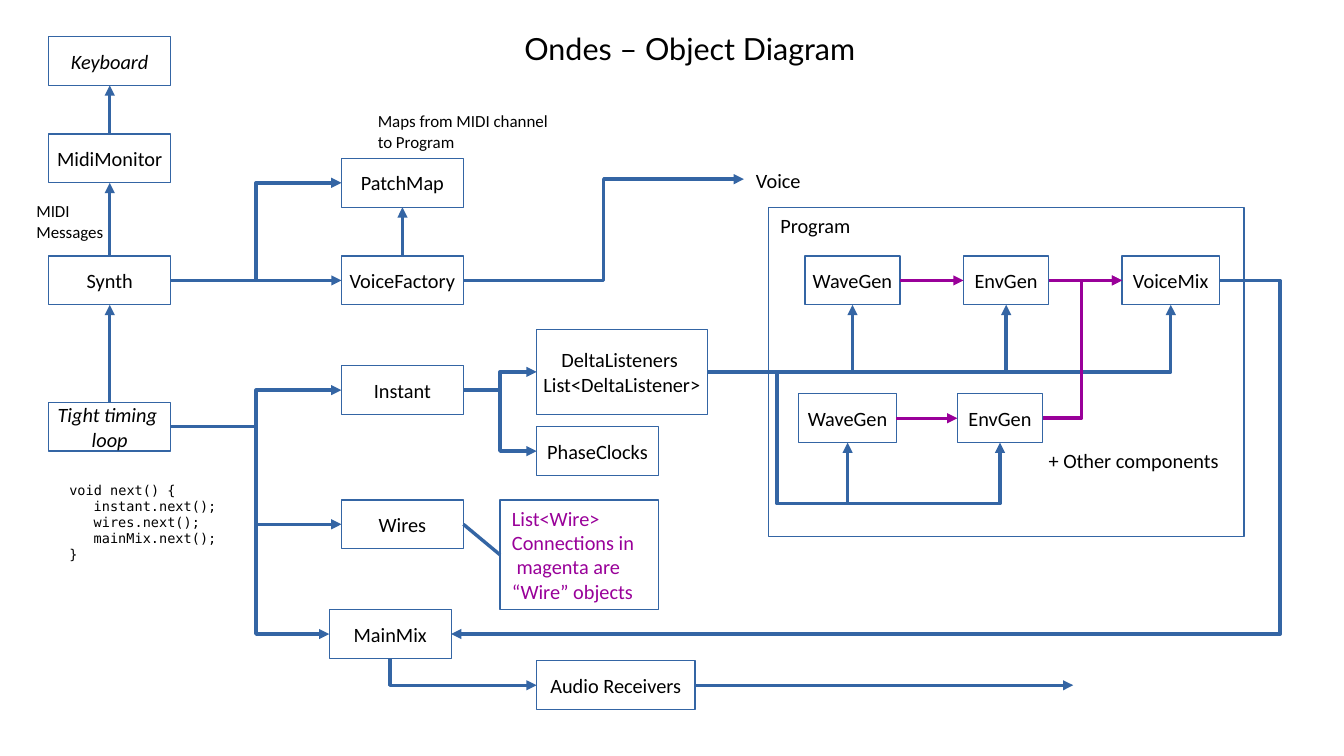
from lxml.etree import SubElement
from pptx import Presentation
from pptx.dml.color import RGBColor
from pptx.enum.shapes import MSO_CONNECTOR, MSO_SHAPE
from pptx.enum.text import MSO_ANCHOR, MSO_AUTO_SIZE, PP_ALIGN
from pptx.oxml.ns import qn
from pptx.util import Emu, Pt

BLUE, MAGENTA, BLACK, WHITE = "3465A4", "990099", "000000", "FFFFFF"


def px(n):
    """100 px to the inch."""
    return Emu(n * 9144)


def rgb(value):
    return RGBColor.from_string(value)


class Diagram:
    font = "Calibri"
    size = 12

    def __init__(self, prs):
        self.s = prs.slides.add_slide(prs.slide_layouts[5])

    def set_text(self, sp, text, size=size, font=font, color=BLACK, italic=False,
                 align=PP_ALIGN.LEFT, anchor=MSO_ANCHOR.TOP, wrap=True):
        tf = sp.text_frame
        tf.text = text
        tf.word_wrap = wrap
        tf.auto_size = MSO_AUTO_SIZE.NONE
        tf.vertical_anchor = anchor
        for p in tf.paragraphs:
            p.alignment = align
            for r in p.runs:
                r.font.size = Pt(size)
                r.font.name = font
                r.font.italic = italic
                r.font.color.rgb = rgb(color)
        return tf

    def title(self, text, x, y, w, h):
        sp = self.s.shapes.title
        sp.left, sp.top, sp.width, sp.height = map(px, (x, y, w, h))
        self.set_text(sp, text, size=18, font="Lato")

    def box(self, text, x, y, w=100, h=40, fill=WHITE,
            align=PP_ALIGN.CENTER, anchor=MSO_ANCHOR.MIDDLE, **style):
        sp = self.s.shapes.add_shape(MSO_SHAPE.RECTANGLE, *map(px, (x, y, w, h)))
        sp.shadow.inherit = False
        if fill:
            sp.fill.solid()
            sp.fill.fore_color.rgb = rgb(fill)
        else:
            sp.fill.background()
        sp.line.color.rgb = rgb(BLUE)
        sp.line.width = 0
        self.set_text(sp, text, align=align, anchor=anchor, wrap=False, **style)

    def label(self, text, x, y, w, h, **style):
        sp = self.s.shapes.add_textbox(*map(px, (x, y, w, h)))
        return self.set_text(sp, text, **style)

    def line(self, x1, y1, x2, y2, color=BLUE, arrow="tailEnd",
             kind=MSO_CONNECTOR.STRAIGHT):
        c = self.s.shapes.add_connector(kind, *map(px, (x1, y1, x2, y2)))
        c.line.color.rgb = rgb(color)
        c.line.width = 0
        spPr = c._element.spPr
        if arrow:
            SubElement(spPr.find(qn("a:ln")), qn(f"a:{arrow}"), type="triangle")
        SubElement(spPr, qn("a:effectLst"))
        return spPr.find(qn("a:prstGeom"))

    def bent(self, x1, y1, x2, y2, bend_x=None, bend_y=None, **style):
        """Leaves sideways; turns at bend_x and bend_y, or at the target's x."""
        geom = self.line(x1, y1, x2, y2, kind=MSO_CONNECTOR.ELBOW, **style)
        turns = []
        if bend_x is not None:
            turns.append((bend_x - x1) / (x2 - x1))
        if bend_y is not None:
            turns.append((bend_y - y1) / (y2 - y1))
        geom.set("prst", f"bentConnector{len(turns) + 2}")
        avLst = geom.find(qn("a:avLst"))
        if avLst is None:
            avLst = SubElement(geom, qn("a:avLst"))
        for i, turn in enumerate(turns, 1):
            SubElement(avLst, qn("a:gd"), name=f"adj{i}",
                       fmla=f"val {round(turn * 100000)}")


def main():
    prs = Presentation()
    prs.slide_width, prs.slide_height = px(1102), px(620)
    d = Diagram(prs)
    d.title("Ondes – Object Diagram", 420, 20, 370, 66)

    # Program frame
    d.box("Program", 630, 170, 390, 270, fill=None,
          align=PP_ALIGN.LEFT, anchor=MSO_ANCHOR.TOP)

    # Boxes
    d.box("Keyboard", 40, 30, italic=True)
    d.box("Tight timing \nloop", 40, 330, italic=True)
    for text, *place in [
        ("MidiMonitor", 40, 110), ("Synth", 40, 210),
        ("PatchMap", 280, 130), ("VoiceFactory", 280, 210),
        ("Instant", 280, 300), ("Wires", 280, 410), ("MainMix", 270, 500),
        ("DeltaListeners \nList<DeltaListener>", 440, 270, 140, 70),
        ("PhaseClocks", 440, 350), ("Audio Receivers", 440, 542, 130),
        ("WaveGen", 660, 210, 78), ("EnvGen", 790, 210, 70),
        ("VoiceMix", 920, 210, 80),
        ("WaveGen", 655, 323, 80), ("EnvGen", 785, 323, 70),
    ]:
        d.box(text, *place)
    d.box("List<Wire>\nConnections in\n magenta are\n“Wire” objects",
          410, 410, 130, 90, color=MAGENTA,
          align=PP_ALIGN.LEFT, anchor=MSO_ANCHOR.TOP)

    # Labels
    d.label("Voice", 610, 133, 100, 30)
    d.label("+ Other components", 850, 363, 160, 30)
    d.label("MIDI\nMessages", 20, 160, 100, 44, size=10)
    d.label("Maps from MIDI channel\nto Program", 300, 86, 190, 44, size=10)

    # Code of the timing loop
    tf = d.label("void next() {\ninstant.next();\nwires.next();\n"
                 "mainMix.next();\n}", 20, 390, 180, 80,
                 size=8, font="DejaVu Sans Mono")
    for p in tf.paragraphs:
        indent = 47 if p.text.endswith(";") else 27
        p._p.get_or_add_pPr().set("marL", str(px(indent)))

    # Straight arrows
    for ends in [(90, 110, 90, 70), (90, 210, 90, 150), (90, 330, 90, 250),
                 (330, 210, 330, 170), (140, 230, 280, 230),
                 (570, 562, 880, 562)]:
        d.line(*ends)
    d.line(380, 430, 410, 455, arrow=None)

    # Synth, timing loop and Instant to their parts
    d.bent(140, 230, 280, 150, bend_x=210)
    for x, y in [(280, 320), (280, 430), (270, 520)]:
        d.bent(140, 350, x, y, bend_x=210)
    for y in (305, 370):
        d.bent(380, 320, 440, y, bend_x=410)
    d.bent(380, 230, 610, 147, bend_x=495)

    # Delta listeners to the components
    for x in (699, 825, 960):
        d.bent(580, 305, x, 250)
    for x in (695, 820):
        d.bent(580, 305, x, 363, bend_x=637, bend_y=413)

    # Wires between components
    for ends in [(738, 230, 790, 230), (860, 230, 920, 230),
                 (735, 343, 785, 343)]:
        d.line(*ends, color=MAGENTA)
    d.bent(855, 343, 920, 230, bend_x=887, color=MAGENTA)

    # Sound output
    d.bent(1000, 230, 370, 520, bend_x=1050)
    d.bent(440, 562, 320, 540, arrow="headEnd")

    prs.save("out.pptx")


if __name__ == "__main__":
    main()
